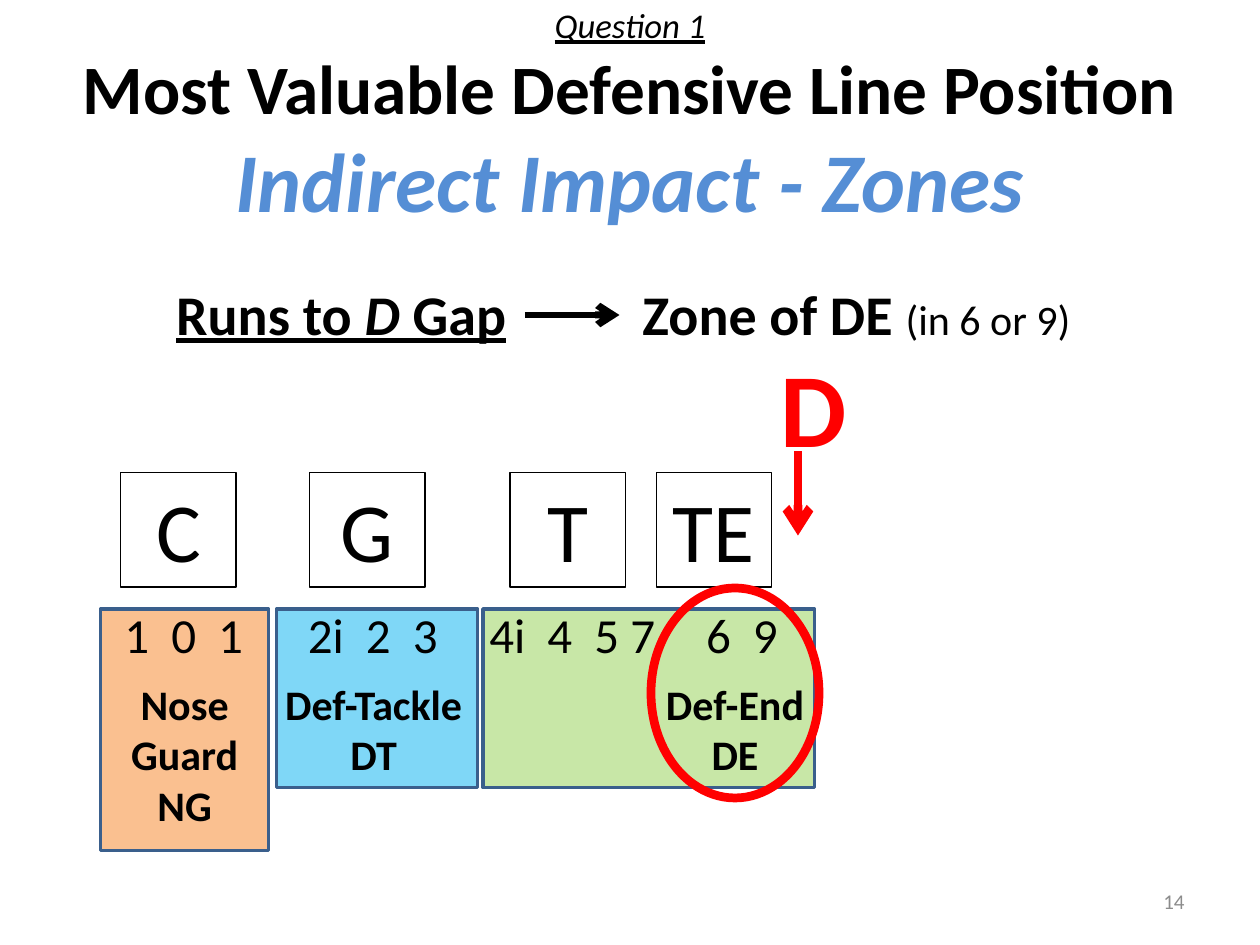
from dataclasses import dataclass
from typing import NamedTuple

from lxml.etree import SubElement as Sub
from pptx import Presentation
from pptx.dml.color import RGBColor as RGB
from pptx.enum.shapes import MSO_CONNECTOR as CON, MSO_SHAPE as FORM
from pptx.enum.text import MSO_ANCHOR as ANC, PP_ALIGN as AL
from pptx.oxml.ns import qn
from pptx.util import Pt


@dataclass(frozen=True)
class Theme:
    font: str = "Calibri"
    ink: str = "000000"
    red: str = "FF0000"
    blue: str = "558ED5"
    gray: str = "8C8C8C"
    edge: str = "3A5F8C"
    green: str = "92D050"
    cyan: str = "00B0F0"
    peach: str = "FAC090"
    kicker: float = 19.8
    head: float = 39.6
    sub: float = 47.7
    lead: float = 32
    name: float = 24
    tech: float = 28
    spot: float = 48
    gap: float = 60
    page: float = 12


class Box(NamedTuple):
    x: float
    y: float
    w: float
    h: float


class Bit(NamedTuple):
    text: str
    size: float
    bold: bool = False
    ital: bool = False
    under: bool = False
    color: str = ""


class Zone(NamedTuple):
    box: Box
    fill: str
    alpha: int


class Label(NamedTuple):
    x: float
    w: float
    text: str


T = Theme()
prs = Presentation()
prs.slide_width, prs.slide_height = Pt(720), Pt(540)
slide = prs.slides.add_slide(prs.slide_layouts[6])
shapes = slide.shapes


def style(font, bit: Bit) -> None:
    font.name, font.size = T.font, Pt(bit.size)
    font.bold, font.italic, font.underline = bit.bold, bit.ital, bit.under
    font.color.rgb = RGB.from_string(bit.color or T.ink)


def write(frame, bit: Bit, align=AL.CENTER) -> None:
    """Fill a frame with lines that share one style."""
    frame.word_wrap = True
    frame.text = bit.text
    for par in frame.paragraphs:
        par.alignment = align
        style(par.font, bit)


def label(box: Box, bit: Bit, align=AL.CENTER, anchor=ANC.TOP) -> None:
    frame = shapes.add_textbox(*map(Pt, box)).text_frame
    frame.vertical_anchor = anchor
    write(frame, bit, align)


def mixed(box: Box, bits: list[Bit], align=AL.CENTER, anchor=ANC.TOP,
          breaks: bool = False) -> None:
    """One paragraph whose runs differ in style."""
    frame = shapes.add_textbox(*map(Pt, box)).text_frame
    frame.word_wrap, frame.vertical_anchor = True, anchor
    par = frame.paragraphs[0]
    par.alignment = align
    for i, bit in enumerate(bits):
        if breaks and i:
            par.add_line_break()
        run = par.add_run()
        run.text = bit.text
        style(run.font, bit)


def shape(form, box: Box, color: str, width: float, fill: str = "",
          alpha: int = 100):
    item = shapes.add_shape(form, *map(Pt, box))
    item.shadow.inherit = False
    item.line.color.rgb, item.line.width = RGB.from_string(color), Pt(width)
    if not fill:
        item.fill.background()
        return item
    item.fill.solid()
    item.fill.fore_color.rgb = RGB.from_string(fill)
    if alpha < 100:
        tint = item.fill._xPr.find(qn("a:solidFill"))[0]
        Sub(tint, qn("a:alpha"), val=str(alpha * 1000))
    return item


def arrow(x1: float, y1: float, x2: float, y2: float, color: str,
          width: float) -> None:
    item = shapes.add_connector(CON.STRAIGHT, Pt(x1), Pt(y1), Pt(x2), Pt(y2))
    item.line.color.rgb, item.line.width = RGB.from_string(color), Pt(width)
    Sub(item.line._get_or_add_ln(), qn("a:tailEnd"), type="arrow")
    Sub(item._element.spPr, qn("a:effectLst"))


# Page number
label(Box(516, 500.5, 168, 28.75), Bit("14", T.page, color=T.gray),
      AL.RIGHT, ANC.MIDDLE)

# Defender zones
for zone in (Zone(Box(276, 348, 189.5, 102), T.green, 50),
             Zone(Box(158, 348, 115, 102), T.cyan, 50),
             Zone(Box(57.5, 348, 96, 138), T.peach, 100)):
    shape(FORM.RECTANGLE, zone.box, T.edge, 2, zone.fill, zone.alpha)

# Offensive line
for x, mark in ((69, "C"), (177, "G"), (291.5, "T"), (375, "TE")):
    spot = shape(FORM.RECTANGLE, Box(x, 270, 66, 65.5), T.ink, 0.75)
    spot.text_frame.vertical_anchor = ANC.TOP
    write(spot.text_frame, Bit(mark, T.spot))

# Techniques
for tech in (Label(51, 108, "1  0  1"), Label(159, 108, "2i  2  3"),
             Label(267, 120, "4i  4  5 7"), Label(388, 72, "6  9")):
    label(Box(tech.x, 342, tech.w, 41), Bit(tech.text, T.tech))

# Position names
for name in (Label(57.5, 96, "Nose Guard\nNG"),
             Label(147.5, 132, "Def-Tackle\nDT"),
             Label(354, 132, "Def-End\nDE")):
    label(Box(name.x, 384, name.w, 65.5), Bit(name.text, T.name, True))

# Title
mixed(Box(36, 21.5, 648, 90),
      [Bit("Question 1", T.kicker, ital=True, under=True),
       Bit("Most Valuable Defensive Line Position", T.head, True),
       Bit("Indirect Impact - Zones", T.sub, True, True, color=T.blue)],
      anchor=ANC.MIDDLE, breaks=True)

# Gap under attack
label(Box(432, 192, 66, 80), Bit("D", T.gap, True, color=T.red))
arrow(456, 258, 456, 306, T.red, 5)
shape(FORM.OVAL, Box(372, 336, 96, 120), T.red, 5)

# Rule: run and zone
mixed(Box(48, 156, 294, 46),
      [Bit("Runs to ", T.lead, True, under=True),
       Bit("D", T.lead, True, True, True),
       Bit(" Gap", T.lead, True, under=True)])
mixed(Box(360, 156, 336, 46),
      [Bit("Zone of DE ", T.lead, True), Bit("(in 6 or 9)", T.name)], AL.LEFT)
arrow(300, 180, 354, 180, T.ink, 4)

prs.save("out.pptx")
